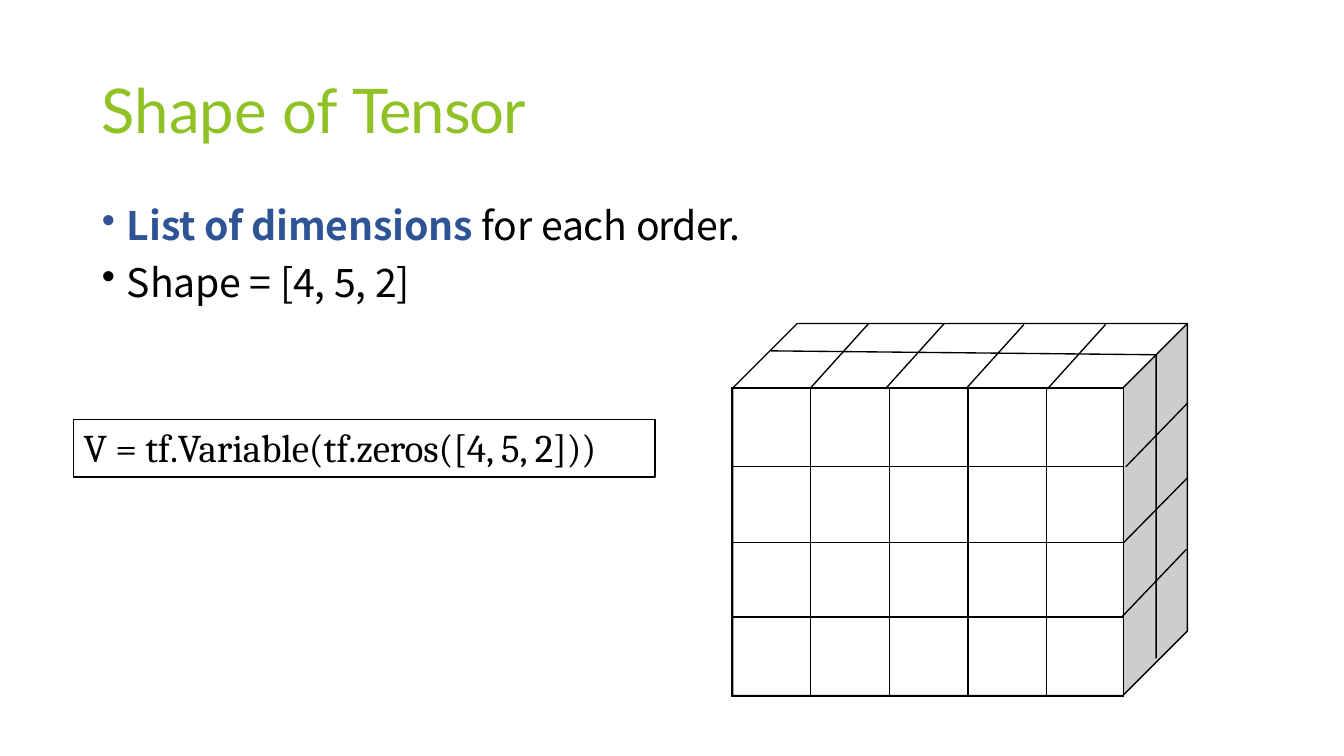
from dataclasses import dataclass

from lxml import etree
from pptx import Presentation
from pptx import util as u
from pptx.dml.color import RGBColor
from pptx.enum import shapes, text
from pptx.oxml.ns import qn

Pt = u.Pt
COLORS = {"title": "90C226", "accent": "2E5496", "ink": "000000",
          "side": "CDCDCD", "top": "FFFFFF"}
LINE_WIDTH = 0.96
Point = tuple[float, float]


@dataclass
class Run:
    words: str
    spacing: float = 0
    color: str = "ink"
    bold: bool = False


@dataclass
class Para:
    runs: list[Run]
    before: float
    margin: float
    indent: float = 0
    bullet: str = ""


@dataclass
class TextBlock:
    box: tuple[float, float, float, float]
    inset_top: float
    font: str
    size: float
    paras: list[Para]
    framed: bool = False


@dataclass
class Outline:
    points: list[Point]
    fill: str = ""
    closed: bool = True


def rgb(name: str) -> RGBColor:
    return RGBColor.from_string(COLORS[name])


def set_line(line) -> None:
    line.width = Pt(LINE_WIDTH)
    line.color.rgb = rgb("ink")


def add_text(s, block: TextBlock) -> None:
    box = [Pt(v) for v in block.box]
    if block.framed:
        sp = s.shapes.add_shape(shapes.MSO_SHAPE.RECTANGLE, *box)
        sp.shadow.inherit = False
        sp.fill.background()
        set_line(sp.line)
    else:
        sp = s.shapes.add_textbox(*box)
    tf = sp.text_frame
    tf.word_wrap = True
    tf.auto_size = text.MSO_AUTO_SIZE.SHAPE_TO_FIT_TEXT
    tf.vertical_anchor = text.MSO_ANCHOR.TOP
    tf.margin_left = tf.margin_right = tf.margin_bottom = 0
    tf.margin_top = Pt(block.inset_top)
    for i, para in enumerate(block.paras):
        p = tf.add_paragraph() if i else tf.paragraphs[0]
        p.alignment = text.PP_ALIGN.LEFT
        p.space_before = Pt(para.before)
        pPr = p._p.get_or_add_pPr()
        pPr.set("marL", str(Pt(para.margin)))
        pPr.set("indent", str(Pt(para.indent)))
        if para.bullet:
            etree.SubElement(pPr, qn("a:buChar"), char=para.bullet)
        for run in para.runs:
            r = p.add_run()
            r.text = run.words
            r.font.name = block.font
            r.font.size = Pt(block.size)
            r.font.bold = run.bold
            r.font.color.rgb = rgb(run.color)
            r._r.get_or_add_rPr().set("spc", str(round(run.spacing * 100)))


def add_outline(s, outline: Outline) -> None:
    first, *rest = [(Pt(x), Pt(y)) for x, y in outline.points]
    builder = s.shapes.build_freeform(*first)
    builder.add_line_segments(rest, close=outline.closed)
    sp = builder.convert_to_shape()
    sp.shadow.inherit = False
    if outline.fill:
        sp.fill.solid()
        sp.fill.fore_color.rgb = rgb(outline.fill)
        sp.line.fill.background()
    else:
        sp.fill.background()
        set_line(sp.line)


def add_segment(s, start: Point, end: Point) -> None:
    ends = [Pt(v) for v in (*start, *end)]
    line = s.shapes.add_connector(shapes.MSO_CONNECTOR.STRAIGHT, *ends)
    set_line(line.line)
    etree.SubElement(line._element.spPr, qn("a:effectLst"))


def add_front_grid(s, left: float, top: float, widths: list[float],
                   heights: list[float]) -> None:
    frame = s.shapes.add_table(len(heights), len(widths), Pt(left), Pt(top),
                               Pt(sum(widths)), Pt(sum(heights)))
    table = frame.table
    table.first_row = table.horz_banding = False
    for column, width in zip(table.columns, widths):
        column.width = Pt(width)
    for row, height in zip(table.rows, heights):
        row.height = Pt(height)
    for cell in table.iter_cells():
        tcPr = cell._tc.get_or_add_tcPr()
        for edge in ("a:lnL", "a:lnR", "a:lnT", "a:lnB"):
            ln = etree.SubElement(tcPr, qn(edge), w=str(Pt(1)))
            fill = etree.SubElement(ln, qn("a:solidFill"))
            etree.SubElement(fill, qn("a:srgbClr"), val=COLORS["ink"])
        cell.fill.background()


# Wording
TITLE = TextBlock((72, 50.4, 323.3, 54.7), 0.7, "Lato", 44, [
    Para([Run("Shape ", 0, "title"), Run("of ", -0.4, "title"),
          Run("Tensor", -0.9, "title")], 1.1, 0.7)])
BULLETS = TextBlock((72, 136.1, 459.4, 82.8), 7.9, "Noto Sans CJK KR", 28, [
    Para([Run("List ", -0.1, "accent", True), Run("of ", -0.3, "accent", True),
          Run("dimensions ", -0.1, "accent", True), Run("for each ", -0.1),
          Run("order.", -0.6)], 7.7, 18.7, -18, "•"),
    Para([Run("Shape = [4, 5, 2]", -0.1)], 6.7, 18.7, -18, "•")])
CODE = TextBlock((52.6, 299.5, 415.4, 41.3), 2.9, "Cambria", 28, [
    Para([Run("V = tf.Variable(tf.zeros([4, 5, 2]))", -0.1)], 2.9, 7.2)],
    framed=True)

# Block corners: the back face is the front face moved right and up by DEPTH
LEFT, RIGHT, TOP, BOTTOM, DEPTH = 523.4, 802.1, 277.2, 496.8, 46.1
front_tl, front_tr, front_br, front_bl = (
    (LEFT, TOP), (RIGHT, TOP), (RIGHT, BOTTOM), (LEFT, BOTTOM))
back_tl, back_tr, back_br = [
    (x + DEPTH, y - DEPTH) for x, y in (front_tl, front_tr, front_br)]
OUTLINES = [
    Outline([back_tr, front_tr, front_br, back_br], "side"),
    Outline([back_tr, back_tl, front_tl, front_tr], "top"),
    Outline([front_tl, back_tl, back_tr, back_br, front_br, front_bl]),
    Outline([front_tl, front_tr, back_tr], closed=False),
    Outline([(550.8, 250.6), (825.8, 253.4), (825.8, 470.2)], closed=False),
]
# Front ends of the top cuts, then both ends of the side cuts
TOP_CUTS = [(578.9, 277.2), (632.9, 277.2), (689.8, 277.9), (748.1, 277.9)]
SIDE_CUTS = [((848.2, 288), (804.2, 333.4)), ((848.2, 341.3), (802.8, 387.4)),
             ((847.4, 392.4), (801.4, 440.6))]


def main() -> None:
    prs = Presentation()
    prs.slide_width, prs.slide_height = Pt(960), Pt(540)
    s = prs.slides.add_slide(prs.slide_layouts[6])

    # Title and bullets
    add_text(s, TITLE)
    add_text(s, BULLETS)

    # Tensor block
    for outline in OUTLINES:
        add_outline(s, outline)
    add_front_grid(s, 522.9, TOP, [56.2, 56.2, 56.2, 56.2, 55],
                   [56.2, 54, 53.4, 56.7])
    for x, y in TOP_CUTS:
        add_segment(s, (x + 41.6, y - DEPTH), (x, y))
    for start, end in SIDE_CUTS:
        add_segment(s, start, end)

    # Code line
    add_text(s, CODE)
    prs.save("out.pptx")


if __name__ == "__main__":
    main()
